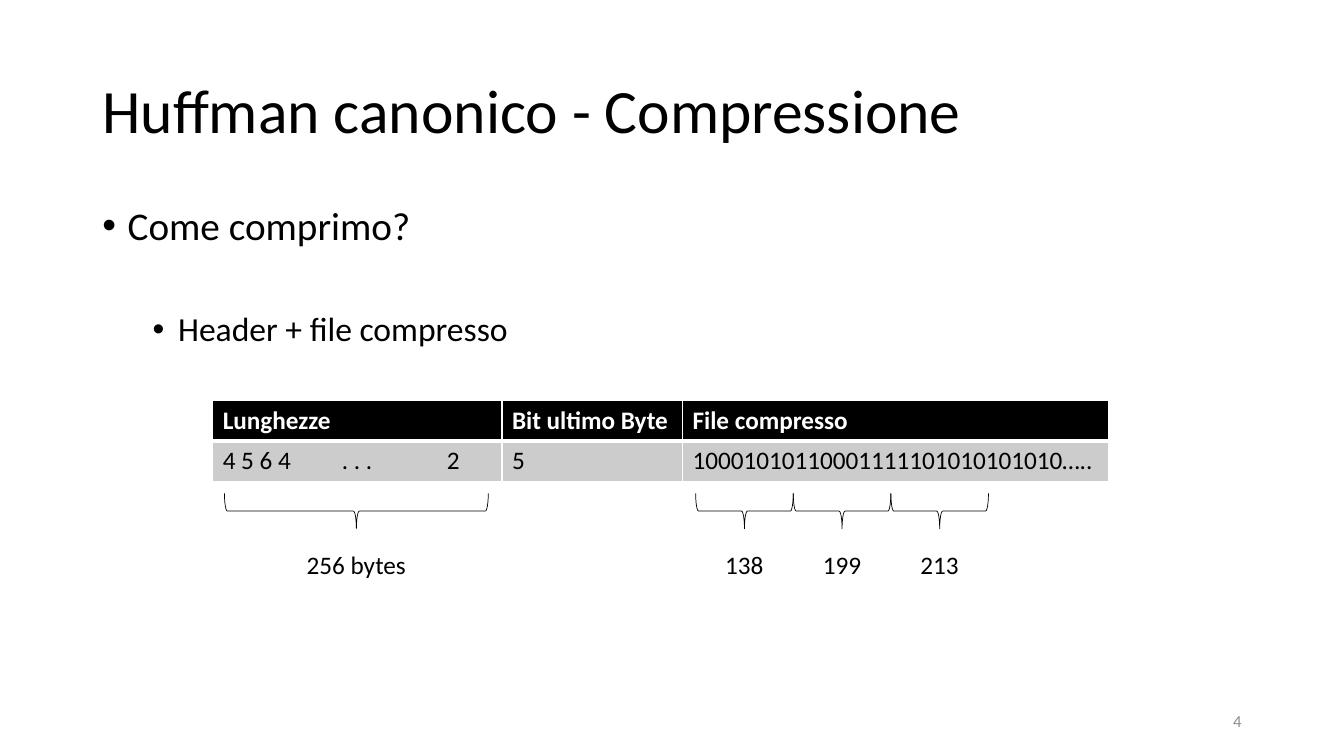
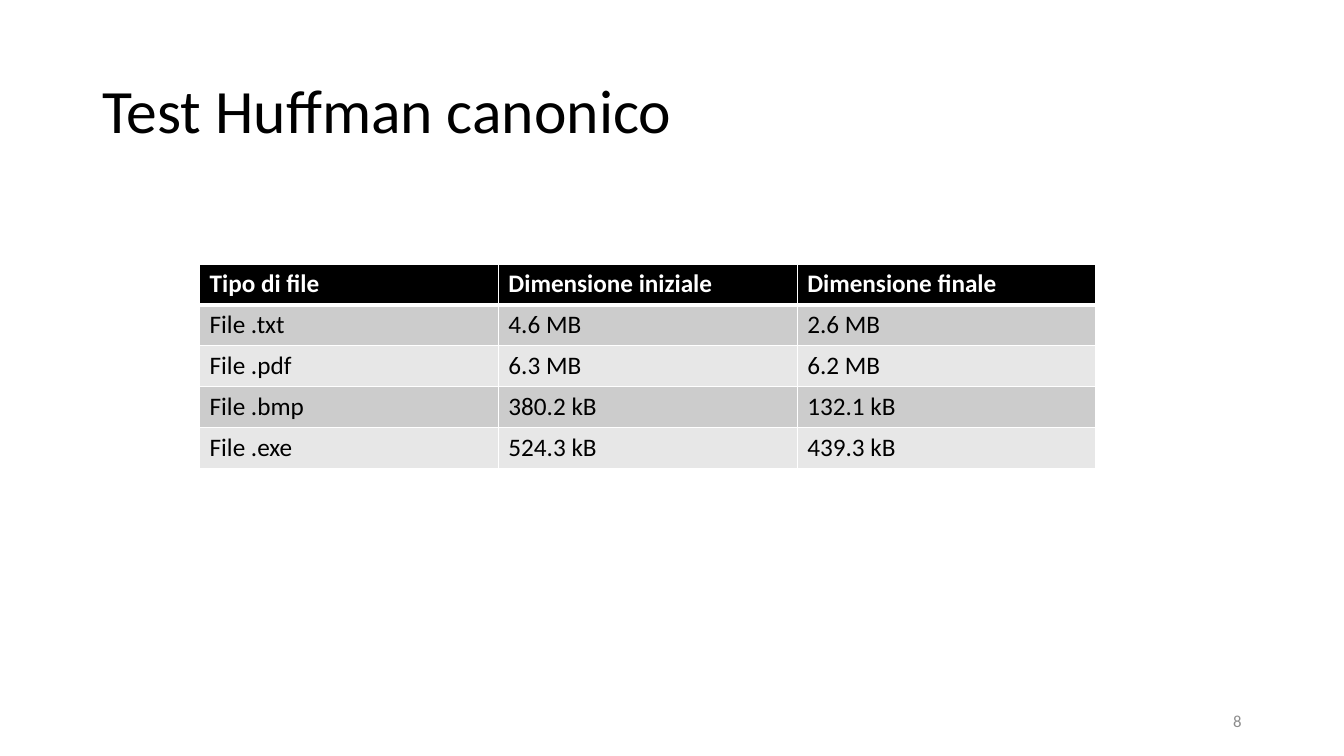
from dataclasses import dataclass

from lxml.etree import SubElement
from pptx import Presentation
from pptx.dml.color import RGBColor
from pptx.enum.shapes import MSO_SHAPE as SHAPE
from pptx.enum.text import MSO_ANCHOR as ANCHOR, PP_ALIGN as ALIGN
from pptx.oxml import parse_xml
from pptx.oxml.ns import nsdecls, qn
from pptx.util import Cm, Pt


@dataclass(frozen=True)
class Theme:
    font: str = "Calibri"
    black: str = "000000"
    white: str = "FFFFFF"
    muted: str = "8C8C8C"
    bands: tuple = ("CCCCCC", "E7E7E7")
    title: int = 44
    levels: tuple = (28, 24)
    body: int = 18
    number: int = 12
    rule: int = 1
    header_rule: int = 3
    brace_line: float = 0.5


T = Theme()
MARGIN, CONTENT_W = 2.33, 29.21
ROW_H = 1.03


def apply(obj, values):
    for name, value in values.items():
        setattr(obj, name, value)


def write(p, text, size, color=T.black, bold=False):
    r = p.add_run()
    r.text = text
    apply(r.font, {"name": T.font, "size": Pt(size), "bold": bold})
    r.font.color.rgb = RGBColor.from_string(color)


def add_box(slide, x, y, w, h, **frame):
    tf = slide.shapes.add_textbox(Cm(x), Cm(y), Cm(w), Cm(h)).text_frame
    apply(tf, {"word_wrap": True, **frame})
    return tf


def add_slide(prs, title, number):
    slide = prs.slides.add_slide(prs.slide_layouts[6])
    p = add_box(slide, MARGIN, 1.01, CONTENT_W, 3.68,
                vertical_anchor=ANCHOR.MIDDLE).paragraphs[0]
    p.line_spacing = 0.9
    write(p, title, T.title)
    p = add_box(slide, 23.92, 17.65, 7.62, 1.01,
                vertical_anchor=ANCHOR.MIDDLE).paragraphs[0]
    p.alignment = ALIGN.RIGHT
    write(p, str(number), T.number, T.muted)
    return slide


def add_bullets(slide, items):
    tf = add_box(slide, MARGIN, 5.07, CONTENT_W, 12.09)
    for i, (level, before, text) in enumerate(items):
        p = tf.add_paragraph() if i else tf.paragraphs[0]
        apply(p, {"level": level, "line_spacing": 0.9, "space_before": Pt(before)})
        pPr = p._p.get_or_add_pPr()
        pPr.set("marL", str(Cm(0.64 + 1.27 * level)))
        pPr.set("indent", str(-Cm(0.64)))
        SubElement(pPr, qn("a:buFont"), typeface="Arial")
        SubElement(pPr, qn("a:buChar"), char="•")
        write(p, text, T.levels[level])


def set_borders(cell, top, bottom):
    widths = {"lnL": T.rule, "lnR": T.rule, "lnT": top, "lnB": bottom}
    tcPr = cell._tc.get_or_add_tcPr()
    for i, (edge, width) in enumerate(widths.items()):
        tcPr.insert(i, parse_xml(
            f'<a:{edge} {nsdecls("a")} w="{Pt(width)}"><a:solidFill>'
            f'<a:srgbClr val="{T.white}"/></a:solidFill></a:{edge}>'))


def add_table(slide, x, y, widths, rows):
    table = slide.shapes.add_table(len(rows), len(widths), Cm(x), Cm(y),
                                   Cm(sum(widths)), Cm(ROW_H * len(rows))).table
    for column, width in zip(table.columns, widths):
        column.width = Cm(width)
    for i, values in enumerate(rows):
        header = i == 0
        table.rows[i].height = Cm(ROW_H)
        fill = T.black if header else T.bands[(i - 1) % 2]
        for cell, text in zip(table.rows[i].cells, values):
            cell.fill.solid()
            cell.fill.fore_color.rgb = RGBColor.from_string(fill)
            set_borders(cell, T.header_rule if i == 1 else T.rule,
                        T.header_rule if header else T.rule)
            write(cell.text_frame.paragraphs[0], text, T.body,
                  T.white if header else T.black, header)
    return table


def set_tabs(p, stops):
    tabs = SubElement(p._p.get_or_add_pPr(), qn("a:tabLst"))
    for stop in stops:
        SubElement(tabs, qn("a:tab"), pos=str(Cm(stop)), algn="l")


def add_brace(slide, center, span, text):
    depth, middle, label_w = 0.89, 12.88, 3.05
    sp = slide.shapes.add_shape(SHAPE.RIGHT_BRACE, Cm(center - depth / 2),
                                Cm(middle - span / 2), Cm(depth), Cm(span))
    sp.rotation = 90
    sp.shadow.inherit = False
    sp.fill.background()
    sp.line.color.rgb = RGBColor.from_string(T.black)
    sp.line.width = Pt(T.brace_line)
    p = add_box(slide, center - label_w / 2, 13.72, label_w, 1.03,
                word_wrap=False).paragraphs[0]
    p.alignment = ALIGN.CENTER
    write(p, text, T.body)


def build_compression(prs):
    slide = add_slide(prs, "Huffman canonico - Compressione", 4)
    add_bullets(slide, [(0, 10, "Come comprimo?"),
                        (1, 46, "Header + file compresso")])
    table = add_table(slide, 5.36, 10.08, [7.29, 4.55, 10.74], [
        ("Lunghezze", "Bit ultimo Byte", "File compresso"),
        ("4 5 6 4\t. . .\t2", "5", "10001010110001111101010101010….."),
    ])
    set_tabs(table.cell(1, 0).text_frame.paragraphs[0], [3, 5.65])
    add_brace(slide, 8.98, 6.65, "256 bytes")
    span = 2.46
    for i, code in enumerate(["138", "199", "213"]):
        add_brace(slide, 18.76 + i * span, span, code)


def build_test(prs):
    slide = add_slide(prs, "Test Huffman canonico", 8)
    add_table(slide, 5.03, 6.65, [7.53] * 3, [
        ("Tipo di file", "Dimensione iniziale", "Dimensione finale"),
        ("File .txt", "4.6 MB", "2.6 MB"),
        ("File .pdf", "6.3 MB", "6.2 MB"),
        ("File .bmp", "380.2 kB", "132.1 kB"),
        ("File .exe", "524.3 kB", "439.3 kB"),
    ])


def main():
    prs = Presentation()
    apply(prs, {"slide_width": Cm(33.87), "slide_height": Cm(19.05)})
    build_compression(prs)
    build_test(prs)
    prs.save("out.pptx")


main()
